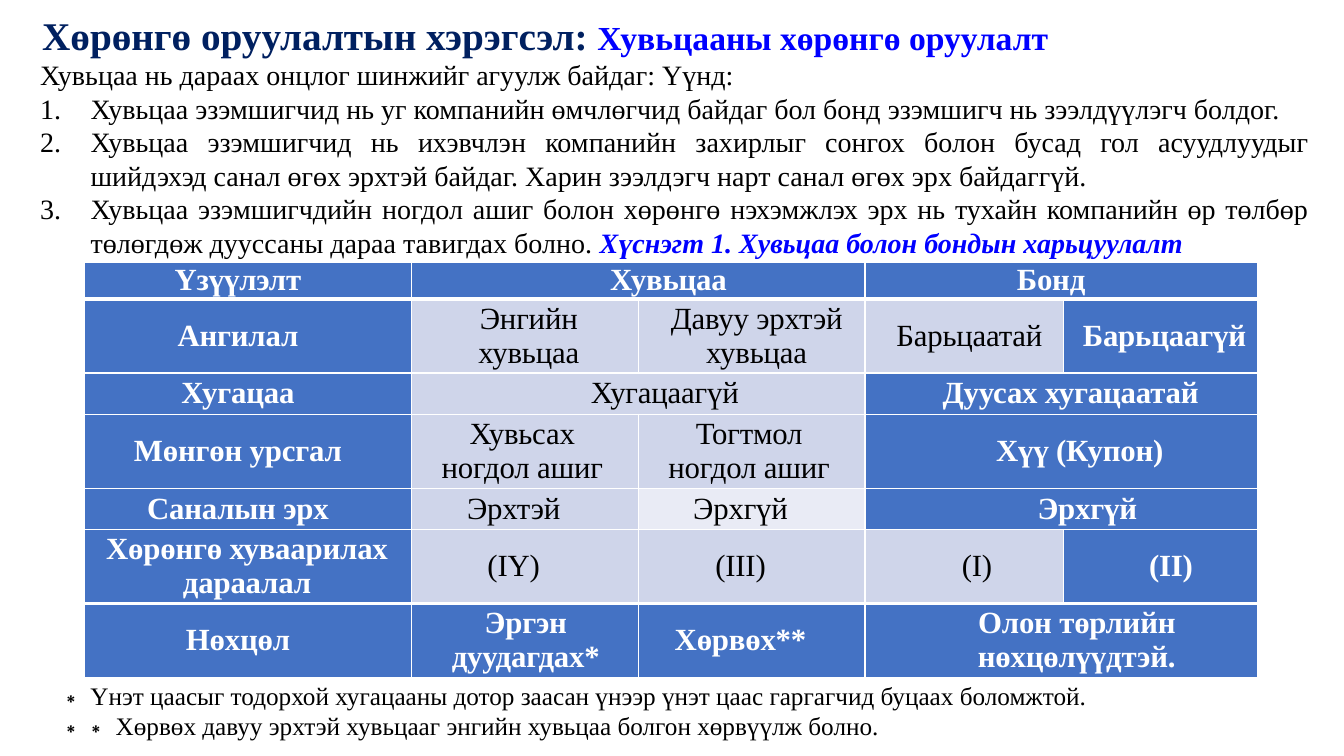
import pptx
import pptx.util
import pptx.dml.color
import pptx.enum.text
import pptx.oxml.ns
import lxml.etree

Inches, Pt = pptx.util.Inches, pptx.util.Pt
RGBColor = pptx.dml.color.RGBColor
Align, Anchor = pptx.enum.text.PP_ALIGN, pptx.enum.text.MSO_ANCHOR
qn = pptx.oxml.ns.qn

NAVY = RGBColor(0x00, 0x20, 0x60)
BRIGHT_BLUE = RGBColor(0x00, 0x00, 0xFF)
BLACK = RGBColor(0x00, 0x00, 0x00)
WHITE = RGBColor(0xFF, 0xFF, 0xFF)
CELL_BLUE = RGBColor(0x44, 0x72, 0xC4)
CELL_LIGHT = RGBColor(0xCF, 0xD5, 0xEA)
CELL_PALE = RGBColor(0xE9, 0xEB, 0xF5)

SERIF, SANS = "Times New Roman", "Arial"

INTRO = "Хувьцаа нь дараах онцлог шинжийг агуулж байдаг: Үүнд:"
FEATURES = [
    "Хувьцаа эзэмшигчид нь уг компанийн өмчлөгчид байдаг бол бонд эзэмшигч нь "
    "зээлдүүлэгч болдог.",
    "Хувьцаа эзэмшигчид нь ихэвчлэн компанийн захирлыг сонгох болон бусад гол "
    "асуудлуудыг шийдэхэд санал өгөх эрхтэй байдаг. Харин зээлдэгч нарт санал өгөх "
    "эрх байдаггүй.",
    "Хувьцаа эзэмшигчдийн ногдол ашиг болон хөрөнгө нэхэмжлэх эрх нь тухайн "
    "компанийн өр төлбөр төлөгдөж дууссаны дараа тавигдах болно. ",
]
TABLE_CAPTION = "Хүснэгт 1. Хувьцаа болон бондын харьцуулалт"
NOTES = [
    ("∗ ", "Үнэт цаасыг тодорхой хугацааны дотор заасан үнээр үнэт цаас гаргагчид "
           "буцаах боломжтой."),
    ("∗∗ ", "Хөрвөх давуу эрхтэй хувьцааг энгийн хувьцаа болгон хөрвүүлж болно."),
]

COLUMN_WIDTHS = [3.24, 2.25, 2.25, 1.97, 1.92]
ROW_HEIGHTS = [0.36, 0.72, 0.41, 0.69, 0.41, 0.69, 0.71]
HEAVY_BORDERS = {1, 6}  # rows whose top edge is thick

# Each cell: text, columns spanned, inset (left if positive, right if negative), fill
COMPARISON = [
    [("Үзүүлэлт", 1, -0.2, CELL_BLUE), ("Хувьцаа", 2, 0.6, CELL_BLUE),
     ("Бонд", 2, -0.2, CELL_BLUE)],
    [("Ангилал", 1, -0.2, CELL_BLUE), ("Энгийн\vхувьцаа", 1, 0.08, CELL_LIGHT),
     ("Давуу эрхтэй\nхувьцаа", 1, 0.1, CELL_LIGHT),
     ("Барьцаатай", 1, 0.1, CELL_LIGHT), ("Барьцаагүй", 1, 0.08, CELL_BLUE)],
    [("Хугацаа", 1, -0.2, CELL_BLUE), ("Хугацаагүй", 2, 0.53, CELL_LIGHT),
     ("Дуусах хугацаатай", 2, 0.19, CELL_BLUE)],
    [("Мөнгөн урсгал", 1, -0.2, CELL_BLUE),
     ("Хувьсах\nногдол ашиг", 1, -0.05, CELL_LIGHT),
     ("Тогтмол\nногдол ашиг", 1, -0.05, CELL_LIGHT),
     ("Хүү (Купон)", 2, 0.37, CELL_BLUE)],
    [("Саналын эрх", 1, -0.2, CELL_BLUE), ("Эрхтэй", 1, -0.22, CELL_LIGHT),
     ("Эрхгүй", 1, -0.22, CELL_PALE), ("Эрхгүй", 2, 0.52, CELL_BLUE)],
    [("Хөрөнгө хуваарилах\nдараалал", 1, -0.02, CELL_BLUE),
     ("(IY)", 1, -0.22, CELL_LIGHT), ("(III)", 1, -0.22, CELL_LIGHT),
     ("(I)", 1, 0.25, CELL_LIGHT), ("(II)", 1, 0.21, CELL_BLUE)],
    [("Нөхцөл", 1, -0.2, CELL_BLUE), ("Эргэн\nдуудагдах*", 1, 0.02, CELL_BLUE),
     ("Хөрвөх**", 1, -0.22, CELL_BLUE),
     ("Олон төрлийн нөхцөлүүдтэй.", 2, 0.31, CELL_BLUE)],
]


class SlideBuilder:
    def __init__(self, slide):
        self.slide = slide

    def text_box(self, left, top, width, height, anchor=Anchor.TOP):
        shape = self.slide.shapes.add_textbox(
            Inches(left), Inches(top), Inches(width), Inches(height))
        shape.text_frame.word_wrap = True
        shape.text_frame.vertical_anchor = anchor
        return shape.text_frame

    def paragraph(self, frame, first=False, align=Align.LEFT, spacing=1.0, before=0):
        paragraph = frame.paragraphs[0] if first else frame.add_paragraph()
        paragraph.alignment = align
        paragraph.line_spacing = spacing
        paragraph.space_before = Pt(before)
        return paragraph

    def number(self, paragraph):
        properties = paragraph._p.get_or_add_pPr()
        properties.set("marL", str(Inches(0.5)))
        properties.set("indent", str(Inches(-0.5)))
        lxml.etree.SubElement(properties, qn("a:buFont"), typeface="+mj-lt")
        lxml.etree.SubElement(properties, qn("a:buAutoNum"), type="arabicPeriod")

    def run(self, paragraph, text, size, color=BLACK, bold=False, italic=False,
            font=SERIF):
        run = paragraph.add_run()
        run.text = text
        self.style(run, size, color, bold, italic, font)

    def style(self, run, size, color, bold=False, italic=False, font=SERIF):
        run.font.name, run.font.size = font, Pt(size)
        run.font.bold, run.font.italic = bold, italic
        run.font.color.rgb = color

    def border(self, cell, side, width):
        line = lxml.etree.SubElement(
            cell._tc.get_or_add_tcPr(), qn("a:ln" + side), w=str(Pt(width)))
        fill = lxml.etree.SubElement(line, qn("a:solidFill"))
        lxml.etree.SubElement(fill, qn("a:srgbClr"), val=str(WHITE))

    def cell(self, cell, text, inset, fill):
        cell.text = text
        cell.vertical_anchor = Anchor.MIDDLE
        cell.margin_top = cell.margin_bottom = 0
        cell.margin_left = Inches(max(inset, 0))
        cell.margin_right = Inches(max(-inset, 0))
        dark = fill == CELL_BLUE
        for paragraph in cell.text_frame.paragraphs:
            paragraph.alignment = Align.CENTER
            for run in paragraph.runs:
                self.style(run, 22, WHITE if dark else BLACK, bold=dark)
                run.font._element.set("spc", "-10")

    def table(self, left, top, rows):
        table = self.slide.shapes.add_table(
            len(rows), len(COLUMN_WIDTHS), Inches(left), Inches(top),
            Inches(sum(COLUMN_WIDTHS)), Inches(sum(ROW_HEIGHTS))).table
        table.first_row = table.horz_banding = False
        for column, width in zip(table.columns, COLUMN_WIDTHS):
            column.width = Inches(width)
        for index, cells in enumerate(rows):
            table.rows[index].height = Inches(ROW_HEIGHTS[index])
            position = 0
            for text, span, inset, fill in cells:
                for offset in range(span):
                    covered = table.cell(index, position + offset)
                    for side in "LR":
                        self.border(covered, side, 1)
                    self.border(covered, "T", 3 if index in HEAVY_BORDERS else 1)
                    self.border(covered, "B", 3 if index + 1 in HEAVY_BORDERS else 1)
                    covered.fill.solid()
                    covered.fill.fore_color.rgb = fill
                origin = table.cell(index, position)
                if span > 1:
                    origin.merge(table.cell(index, position + span - 1))
                self.cell(origin, text, inset, fill)
                position += span


def main():
    presentation = pptx.Presentation()
    presentation.slide_width, presentation.slide_height = Inches(13.33), Inches(7.5)
    builder = SlideBuilder(presentation.slides.add_slide(presentation.slide_layouts[6]))

    # Title
    frame = builder.text_box(0.32, 0.15, 12.56, 0.46, Anchor.MIDDLE)
    paragraph = builder.paragraph(frame, first=True, spacing=0.9)
    builder.run(paragraph, "Хөрөнгө оруулалтын хэрэгсэл: ", 28, NAVY, bold=True)
    builder.run(paragraph, "Хувьцааны хөрөнгө оруулалт", 24, BRIGHT_BLUE, bold=True)

    # Features of shares
    frame = builder.text_box(0.3, 0.52, 12.78, 2.09)
    paragraph = builder.paragraph(frame, True, Align.JUSTIFY)
    builder.run(paragraph, INTRO, 20)
    for feature in FEATURES:
        paragraph = builder.paragraph(frame, align=Align.JUSTIFY)
        builder.number(paragraph)
        builder.run(paragraph, feature, 20)
    builder.run(paragraph, TABLE_CAPTION, 20, BRIGHT_BLUE, bold=True, italic=True)

    # Comparison of shares and bonds
    builder.table(0.84, 2.6, COMPARISON)

    # Footnotes
    frame = builder.text_box(0.48, 6.73, 12.4, 0.74)
    for index, (mark, note) in enumerate(NOTES):
        paragraph = builder.paragraph(
            frame, first=index == 0, spacing=0.9, before=2 * index)
        builder.run(paragraph, mark, 18, font=SANS)
        builder.run(paragraph, note, 18)

    presentation.save("out.pptx")


if __name__ == "__main__":
    main()
